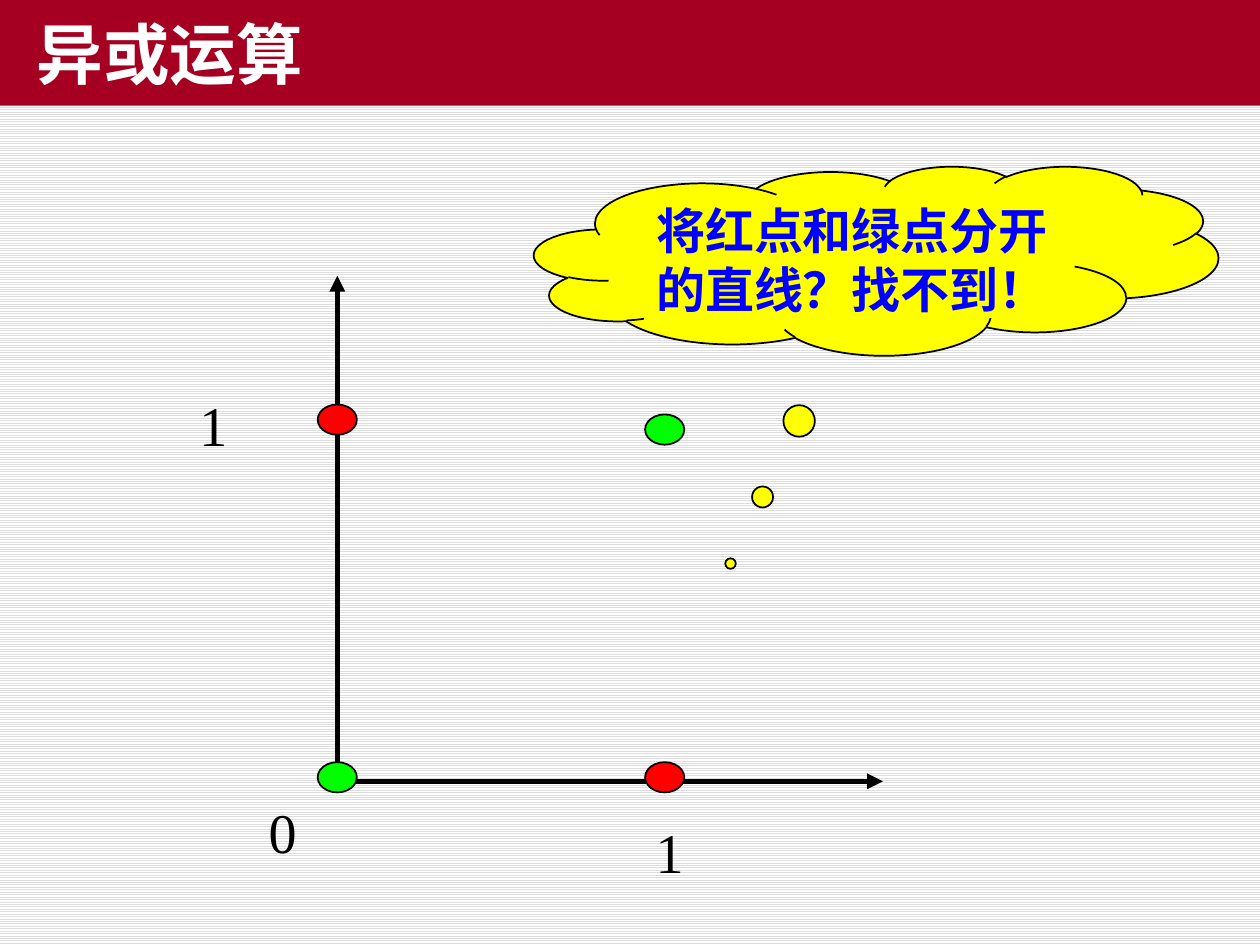
from lxml.etree import SubElement
from pptx import Presentation
from pptx.dml.color import RGBColor
from pptx.enum.dml import MSO_PATTERN
from pptx.enum.shapes import MSO_CONNECTOR, MSO_SHAPE
from pptx.enum.text import MSO_ANCHOR as ANCHOR, PP_ALIGN as ALIGN
from pptx.oxml.ns import qn
from pptx.util import Cm, Pt

COLORS = {
    "black": "000000", "white": "FFFFFF", "stripe": "DDDDDD", "banner": "A50021",
    "red": "FF0000", "green": "00FF00", "yellow": "FFFF00", "blue": "0000FF",
}
CJK_FONT = "Noto Sans CJK SC"
TITLE_FONT = {"name": "Arial", "size": Pt(38), "bold": True}
LABEL_FONT = {"name": "Times New Roman", "size": Pt(32)}
THOUGHT_FONT = {"name": CJK_FONT, "size": Pt(28), "bold": True}

SLIDE_W, SLIDE_H = 25.4, 19.05
ORIGIN_X, ORIGIN_Y = 6.8, 15.75
ONE_X, ONE_Y = 13.4, 8.56
TICK = 0.2
DOT_W, DOT_H = 0.79, 0.61
LABEL_W, LABEL_H = 3, 1.6


def rgb(color):
    return RGBColor.from_string(COLORS[color])


def write(shape, text, font_format, color, align):
    paragraph = shape.text_frame.paragraphs[0]
    paragraph.alignment = align
    run = paragraph.add_run()
    run.text = text
    run.font.color.rgb = rgb(color)
    for attribute, value in font_format.items():
        setattr(run.font, attribute, value)
    SubElement(run._r.get_or_add_rPr(), qn("a:ea")).set("typeface", CJK_FONT)


def set_background(slide):
    fill = slide.background.fill
    fill.patterned()
    fill.pattern = MSO_PATTERN.LIGHT_HORIZONTAL
    fill.fore_color.rgb = rgb("stripe")
    fill.back_color.rgb = rgb("white")


def set_title(slide, text):
    title = slide.shapes.title
    title.left, title.top, title.width, title.height = 0, 0, Cm(SLIDE_W), Cm(2.13)
    title.fill.solid()
    title.fill.fore_color.rgb = rgb("banner")
    title.text_frame.vertical_anchor = ANCHOR.MIDDLE
    title.text_frame.margin_left = Cm(0.74)
    write(title, text, TITLE_FONT, "white", ALIGN.LEFT)


def add_line(shapes, start, end, arrow=False):
    line = shapes.add_connector(MSO_CONNECTOR.STRAIGHT, *map(Cm, start + end))
    line.line.color.rgb = rgb("black")
    line.line.width = Pt(3)
    if arrow:
        SubElement(line.line._get_or_add_ln(), qn("a:tailEnd")).set("type", "triangle")
    SubElement(line._element.spPr, qn("a:effectLst"))


def add_outlined(shapes, kind, box, color):
    shape = shapes.add_shape(kind, *map(Cm, box))
    shape.shadow.inherit = False
    shape.fill.solid()
    shape.fill.fore_color.rgb = rgb(color)
    shape.line.color.rgb = rgb("black")
    shape.line.width = Pt(1)
    return shape


def add_dot(shapes, x, y, color):
    """Draw a data point centred on x, y."""
    box = (x - DOT_W / 2, y - DOT_H / 2, DOT_W, DOT_H)
    add_outlined(shapes, MSO_SHAPE.OVAL, box, color)


def add_label(shapes, left, top, text):
    label = shapes.add_textbox(*map(Cm, (left, top, LABEL_W, LABEL_H)))
    label.text_frame.word_wrap = True
    write(label, text, LABEL_FONT, "black", ALIGN.CENTER)


def add_thought(shapes, text):
    cloud = add_outlined(shapes, MSO_SHAPE.CLOUD_CALLOUT, (10.77, 3.35, 13.79, 3.81), "yellow")
    cloud.adjustments[0] = -0.213
    cloud.adjustments[1] = 1.603
    cloud.text_frame.word_wrap = True
    cloud.text_frame.vertical_anchor = ANCHOR.TOP
    write(cloud, text, THOUGHT_FONT, "blue", ALIGN.CENTER)


def add_plot(slide):
    plot = slide.shapes.add_group_shape().shapes
    origin = (ORIGIN_X, ORIGIN_Y)
    add_line(plot, origin, (17.8, ORIGIN_Y), arrow=True)
    add_line(plot, origin, (ORIGIN_X, 5.56), arrow=True)
    add_line(plot, (ONE_X, ORIGIN_Y - TICK), (ONE_X, ORIGIN_Y))
    add_line(plot, (ORIGIN_X, ONE_Y), (ORIGIN_X + TICK, ONE_Y))
    for left, top, text in ((12, 16.36, "1"), (2.8, 7.75, "1"), (4.2, 15.95, "0")):
        add_label(plot, left, top, text)
    for x, y, color in (
        (ORIGIN_X, 8.46, "red"),
        (ONE_X, 15.67, "red"),
        (ORIGIN_X, 15.67, "green"),
        (ONE_X, 8.66, "green"),
    ):
        add_dot(plot, x, y, color)


def main():
    deck = Presentation()
    deck.slide_width, deck.slide_height = Cm(SLIDE_W), Cm(SLIDE_H)
    slide = deck.slides.add_slide(deck.slide_layouts[5])
    set_background(slide)
    set_title(slide, "异或运算")
    add_plot(slide)
    add_thought(slide.shapes, "将红点和绿点分开的直线？找不到！")
    deck.save("out.pptx")


if __name__ == "__main__":
    main()
